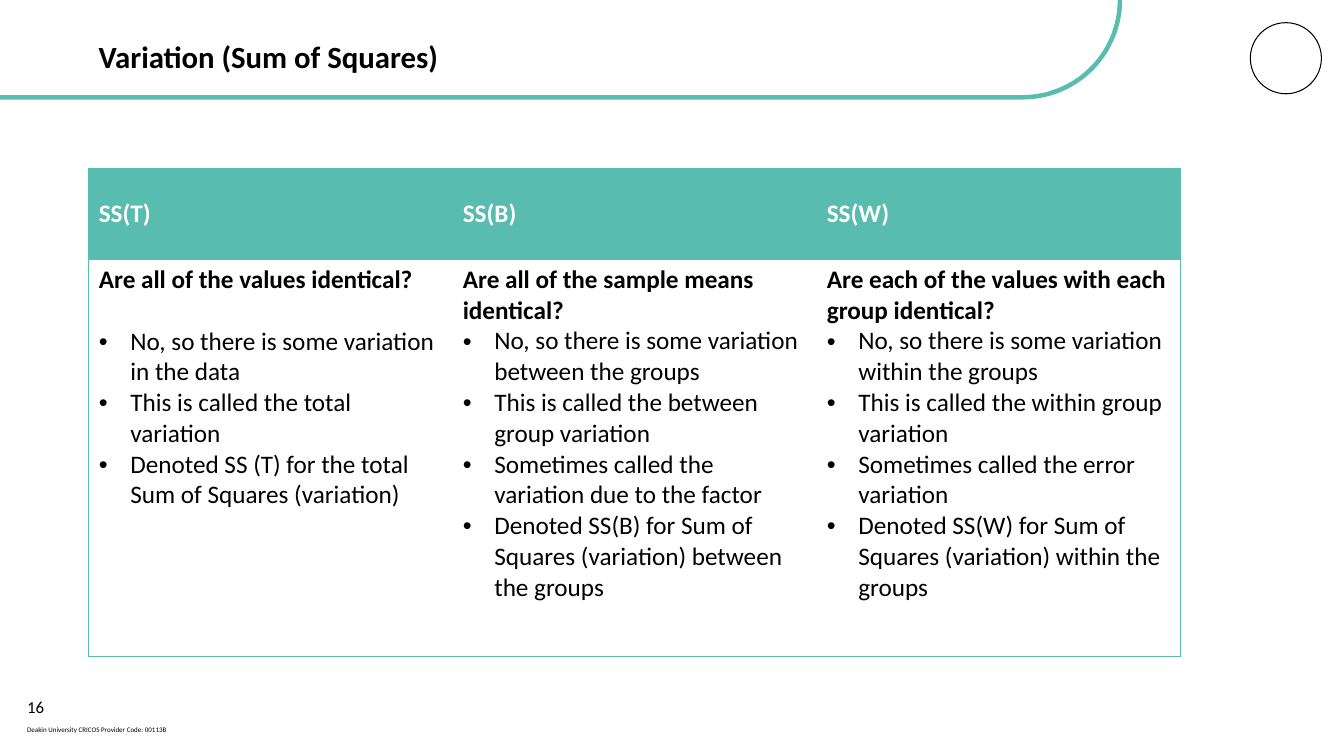
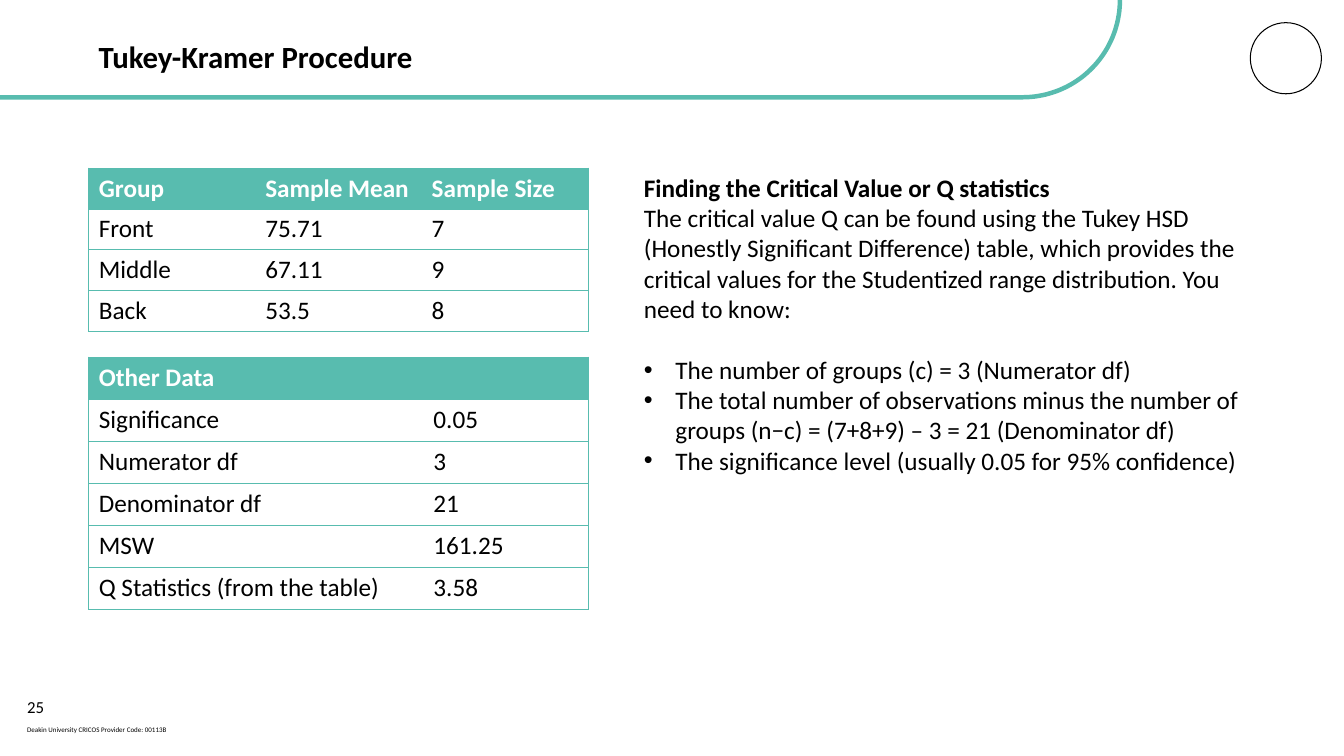
from dataclasses import dataclass
from math import cos, pi, sin

from lxml.etree import SubElement as Sub
from pptx import Presentation
from pptx.dml.color import RGBColor
from pptx.enum.shapes import MSO_SHAPE as Shape
from pptx.enum.text import MSO_ANCHOR as Anchor
from pptx.oxml.ns import qn
from pptx.util import Pt

TEAL, BLACK, WHITE = "58BCAF", "000000", "FFFFFF"
LINE_GAP = 22
LEFT, TOP = 63.4, 119.5
FOOTER = "Deakin University CRICOS Provider Code: 00113B"


def rgb(code):
    """Turn a hex string into a colour."""
    return RGBColor.from_string(code)


@dataclass
class Line:
    """One paragraph with its style and the gap below it."""
    text: str
    style: str = "body"
    gap: float = 0


def bullets(*texts):
    """Make one bulleted line of each text."""
    return [Line(text, "bullet") for text in texts]


class Deck:
    """Holds the shared style and the current slide."""

    FONT = "Calibri"
    STYLES = {
        "title": {"size": Pt(22), "bold": True},
        "header": {"size": Pt(18), "bold": True},
        "question": {"size": Pt(18), "bold": True},
        "body": {"size": Pt(18), "bold": False},
        "bullet": {"size": Pt(18), "bold": False},
        "number": {"size": Pt(12), "bold": False},
        "footer": {"size": Pt(5), "bold": False},
    }
    INDENT = 22.5
    BORDER = 0.5

    def __init__(self):
        """Open an empty widescreen presentation."""
        self.prs = Presentation()
        self.prs.slide_width, self.prs.slide_height = Pt(960), Pt(540)
        self.slide = None

    def new_slide(self, title, number):
        """Add a slide with the header curve, title and footer."""
        self.slide = self.prs.slides.add_slide(self.prs.slide_layouts[6])
        self.ring(893.1, 16.2, 50.8)
        self.header_curve(730.5, 69.5)
        self.text(LEFT, 21.6, 669, 36.7, [Line(title, "title")], Anchor.MIDDLE)
        self.text(19.4, 495.4, 45.4, 19.4, [Line(number, "number")],
                  Anchor.MIDDLE, (0, 3.6, 7.2, 3.6))
        self.text(19.4, 515.5, 521, 14.4, [Line(FOOTER, "footer")],
                  margins=(0, 2.9, 0, 2.9))

    def outline(self, figure, color, width):
        """Leave a figure unfilled with a plain line."""
        figure.shadow.inherit = False
        figure.fill.background()
        figure.line.color.rgb = rgb(color)
        figure.line.width = Pt(width)

    def ring(self, left, top, size):
        """Draw the thin ring in the corner."""
        ring = self.slide.shapes.add_shape(
            Shape.OVAL, Pt(left), Pt(top), Pt(size), Pt(size))
        self.outline(ring, BLACK, 0.75)

    def header_curve(self, bend, radius):
        """Draw the header rule that bends up to the slide's top edge."""
        steps = 40
        angles = [pi / 2 * (1 - step / steps) for step in range(steps + 1)]
        arc = [(Pt(bend + radius * cos(a)), Pt(radius * sin(a))) for a in angles]
        builder = self.slide.shapes.build_freeform(0, Pt(radius))
        builder.add_line_segments(arc, close=False)
        self.outline(builder.convert_to_shape(), TEAL, 3.2)

    def fill_frame(self, frame, lines, color=BLACK):
        """Fill a text frame with lines."""
        for index, line in enumerate(lines):
            paragraph = frame.paragraphs[0] if index == 0 else frame.add_paragraph()
            if line.style == "bullet":
                props = paragraph._p.get_or_add_pPr()
                props.set("marL", str(Pt(self.INDENT)))
                props.set("indent", str(-Pt(self.INDENT)))
                Sub(props, qn("a:buFont"), typeface="Arial")
                Sub(props, qn("a:buChar"), char="•")
            paragraph.space_after = Pt(line.gap)
            run = paragraph.add_run()
            run.text = line.text
            for key, value in {"name": self.FONT, **self.STYLES[line.style]}.items():
                setattr(run.font, key, value)
            run.font.color.rgb = rgb(color)

    def text(self, left, top, width, height, lines, anchor=Anchor.TOP,
             margins=(7.2, 3.6, 7.2, 3.6)):
        """Add a wrapped text box."""
        frame = self.slide.shapes.add_textbox(
            Pt(left), Pt(top), Pt(width), Pt(height)).text_frame
        frame.word_wrap = True
        frame.vertical_anchor = anchor
        for side, margin in zip(("left", "top", "right", "bottom"), margins):
            setattr(frame, f"margin_{side}", Pt(margin))
        self.fill_frame(frame, lines)

    def borders(self, cell, sides):
        """Rule the named sides of a cell and clear the others."""
        props = cell._tc.get_or_add_tcPr()
        for side in "LRTB":
            rule = Sub(props, qn(f"a:ln{side}"), w=str(Pt(self.BORDER)))
            if side in sides:
                fill = Sub(rule, qn("a:solidFill"))
                Sub(fill, qn("a:srgbClr"), val=TEAL)
            else:
                Sub(rule, qn("a:noFill"))

    def table(self, top, widths, heights, header, body):
        """Add a ruled table; a short header spans all columns."""
        rows = [[[Line(name, "header")] for name in header], *body]
        table = self.slide.shapes.add_table(
            len(rows), len(widths), Pt(LEFT), Pt(top),
            Pt(sum(widths)), Pt(sum(heights))).table
        table.horz_banding = False
        for column, width in zip(table.columns, widths):
            column.width = Pt(width)
        last = len(widths) - 1
        if len(header) == 1:
            table.cell(0, 0).merge(table.cell(0, last))
        for r, (row, height) in enumerate(zip(rows, heights)):
            table.rows[r].height = Pt(height)
            for c in range(len(widths)):
                cell = table.cell(r, c)
                ends_row = c == last or cell.is_merge_origin
                self.borders(cell, "TB" + "L" * (c == 0) + "R" * ends_row)
                cell.fill.solid()
                cell.fill.fore_color.rgb = rgb(WHITE if r else TEAL)
                cell.vertical_anchor = Anchor.TOP if r else Anchor.MIDDLE
                if c < len(row):
                    self.fill_frame(cell.text_frame, row[c], BLACK if r else WHITE)

    def data_table(self, top, widths, height, header, records):
        """Add a table of single-line values with equal rows."""
        body = [[[Line(value)] for value in record] for record in records]
        self.table(top, widths, [height] * (len(body) + 1), header, body)


def variation_slide(deck):
    """Compare the three sums of squares."""
    deck.new_slide("Variation (Sum of Squares)", "16")
    total = [Line("Are all of the values identical?", "question", LINE_GAP)] + bullets(
        "No, so there is some variation in the data",
        "This is called the total variation",
        "Denoted SS (T) for the total Sum of Squares (variation)")
    between = [Line("Are all of the sample means identical?", "question")] + bullets(
        "No, so there is some variation between the groups",
        "This is called the between group variation",
        "Sometimes called the variation due to the factor",
        "Denoted SS(B) for Sum of Squares (variation) between the groups")
    within = [Line("Are each of the values with each group identical?", "question")] + bullets(
        "No, so there is some variation within the groups",
        "This is called the within group variation",
        "Sometimes called the error variation",
        "Denoted SS(W) for Sum of Squares (variation) within the groups")
    deck.table(TOP + 1, [260] * 3, [64.8, 283.7],
               ["SS(T)", "SS(B)", "SS(W)"], [[total, between, within]])


def tukey_slide(deck):
    """Show the group data and how to find the critical value."""
    deck.new_slide("Tukey-Kramer Procedure", "25")
    deck.data_table(TOP + 0.5, [118.9] * 3, 29.2,
                    ["Group", "Sample Mean", "Sample Size"],
                    [("Front", "75.71", "7"),
                     ("Middle", "67.11", "9"),
                     ("Back", "53.5", "8")])
    deck.data_table(254.9, [239, 117.7], 30.1, ["Other Data"],
                    [("Significance", "0.05"),
                     ("Numerator df", "3"),
                     ("Denominator df", "21"),
                     ("MSW", "161.25"),
                     ("Q Statistics (from the table)", "3.58")])
    deck.text(452.9, TOP, 443.5, 225.4, [
        Line("Finding the Critical Value or Q statistics", "question"),
        Line("The critical value Q can be found using the Tukey HSD (Honestly "
             "Significant Difference) table, which provides the critical values "
             "for the Studentized range distribution. You need to know:",
             gap=LINE_GAP),
        *bullets(
            "The number of groups (c) = 3 (Numerator df)",
            "The total number of observations minus the number of groups "
            "(n−c) = (7+8+9) – 3 = 21 (Denominator df)",
            "The significance level (usually 0.05 for 95% confidence)")])


def main():
    """Build and save the slides."""
    deck = Deck()
    variation_slide(deck)
    tukey_slide(deck)
    deck.prs.save("out.pptx")


if __name__ == "__main__":
    main()
